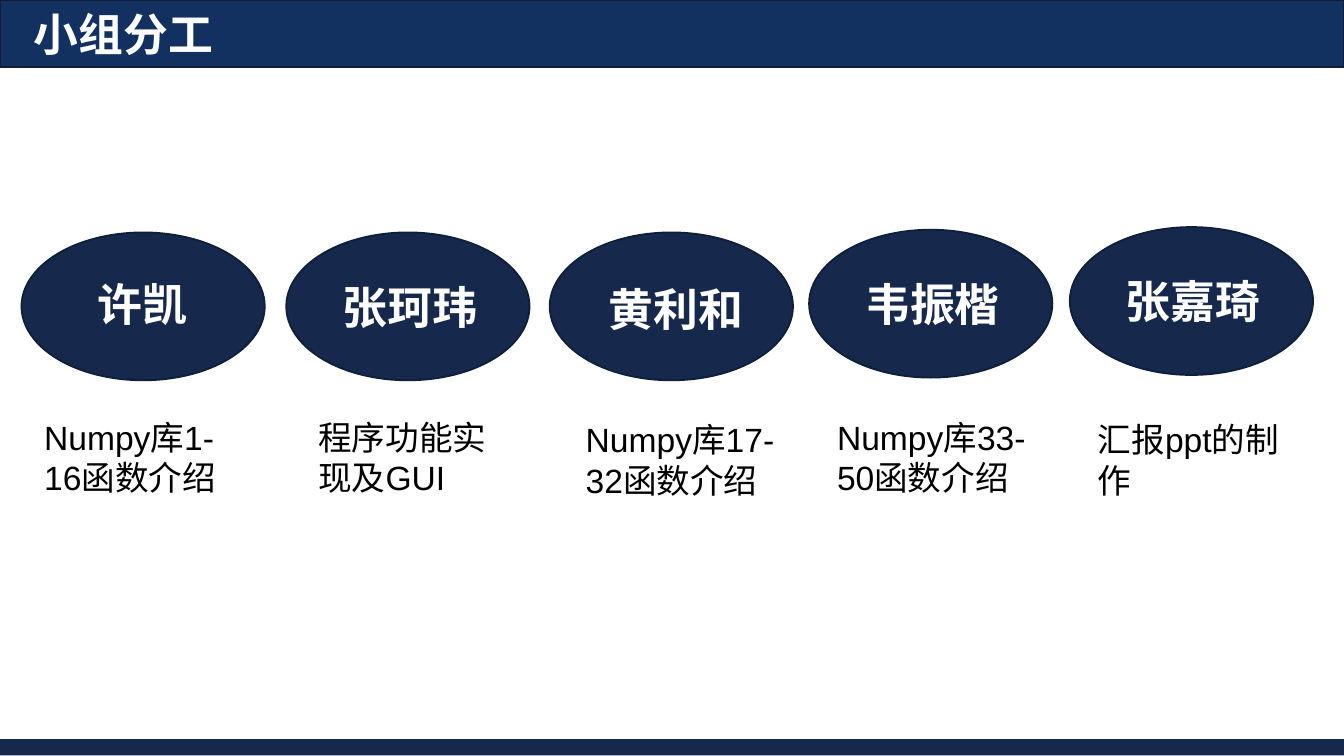
from pptx import Presentation
from pptx.dml.color import RGBColor
from pptx.enum.shapes import MSO_SHAPE as SHAPE
from pptx.enum.text import MSO_ANCHOR as ANCHOR, PP_ALIGN as ALIGN
from pptx.util import Inches, Pt

NAVY = "16294C"
OVAL_W, OVAL_H = 1.81, 1.1
# name, task, oval (left, top), name box (left, top, width), task box (left, top, width)
MEMBERS = [
    ("许凯", "Numpy库1-16函数介绍", (0.16, 1.73), (0.63, 2.01, 0.91), (0.23, 3.05, 1.59)),
    ("张珂玮", "程序功能实现及GUI", (2.13, 1.73), (2.45, 2.03, 1.24), (2.27, 3.05, 1.59)),
    ("黄利和", "Numpy库17-32函数介绍", (4.09, 1.73), (4.43, 2.05, 1.24), (4.26, 3.07, 1.7)),
    ("韦振楷", "Numpy库33-50函数介绍", (6.02, 1.71), (6.34, 2.01, 1.24), (6.13, 3.05, 1.83)),
    ("张嘉琦", "汇报ppt的制作", (7.96, 1.69), (8.28, 1.99, 1.24), (8.07, 3.07, 1.59)),
]


def rgb(color):
    return RGBColor.from_string(color)


def write(sp, text, size=18, color="000000", bold=False):
    tf = sp.text_frame
    tf.word_wrap = True
    tf.vertical_anchor = ANCHOR.TOP
    p = tf.paragraphs[0]
    p.alignment = ALIGN.LEFT
    r = p.add_run()
    r.text = text
    r.font.name, r.font.size, r.font.bold = "Arial", Pt(size), bold
    r.font.color.rgb = rgb(color)


def add_filled(s, kind, box, fill, line=None):
    sp = s.shapes.add_shape(kind, *map(Inches, box))
    sp.shadow.inherit = False
    sp.fill.solid()
    sp.fill.fore_color.rgb = rgb(fill)
    if line:
        sp.line.color.rgb = rgb(line)
        sp.line.width = Pt(1)
    else:
        sp.line.fill.background()
    return sp


def add_text(s, box, text, **fmt):
    write(s.shapes.add_textbox(*map(Inches, box)), text, **fmt)


def add_header(s, x, y, w, h):
    band = add_filled(s, SHAPE.RECTANGLE, (x, y, w, h), "123161", "101E38")
    title = s.shapes.title
    title.element.addprevious(band.element)  # keeps the band behind the title
    title.left, title.top = Inches(x), Inches(y)
    title.width, title.height = Inches(3.6), Inches(h)
    write(title, "小组分工", size=24, color="FFFFFF", bold=True)
    title.text_frame.margin_left = Inches(0.25)


def add_member(s, name, task, oval, name_box, task_box):
    add_filled(s, SHAPE.OVAL, (*oval, OVAL_W, OVAL_H), NAVY, "101F39")
    add_text(s, (*name_box, 0.5), name, size=24, color="FFFFFF", bold=True)
    add_text(s, (*task_box, 0.71), task)


def main():
    prs = Presentation()
    prs.slide_width = Inches(10)
    prs.slide_height = prs.slide_width * 9 // 16
    s = prs.slides.add_slide(prs.slide_layouts[5])
    add_header(s, 0, 0, 10, 0.5)
    add_filled(s, SHAPE.RECTANGLE, (0, 5.5, 10, 0.12), NAVY)
    for member in MEMBERS:
        add_member(s, *member)
    prs.save("out.pptx")


if __name__ == "__main__":
    main()
